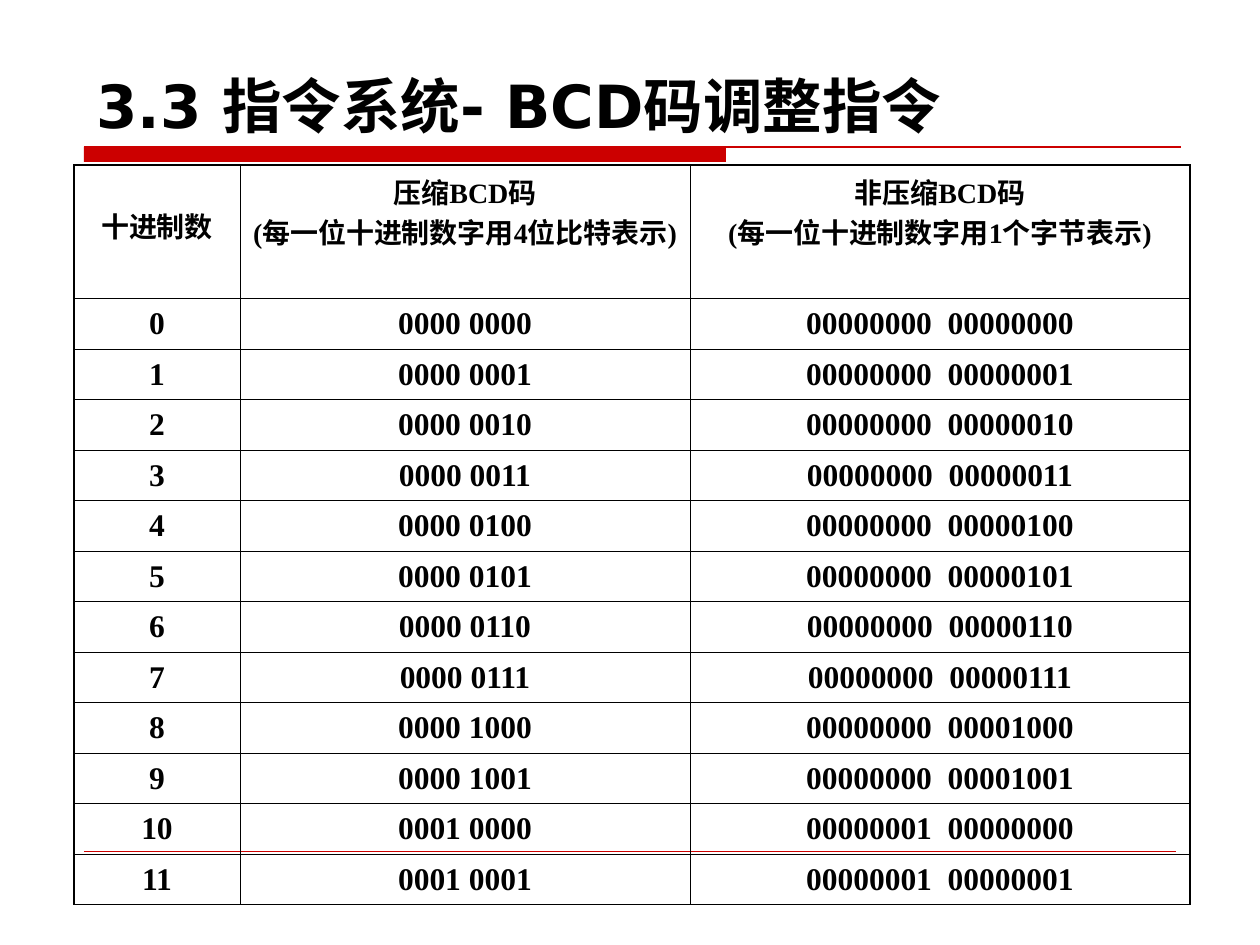
from lxml.etree import SubElement
from pptx import Presentation
from pptx.dml.color import RGBColor
from pptx.enum.shapes import MSO_CONNECTOR, MSO_SHAPE
from pptx.enum.text import MSO_ANCHOR, MSO_AUTO_SIZE, PP_ALIGN
from pptx.oxml import parse_xml
from pptx.oxml.ns import nsdecls, qn
from pptx.util import Pt

RED, BLACK = "CC0000", "000000"
THIN, THICK = 0.45, 1.08
rgb = RGBColor.from_string


def px(n):
    """Turn a length in px (126 to the inch) into EMU."""
    return round(n * 914400 / 126)


def set_border(cell, side, width):
    cell._tc.get_or_add_tcPr().append(parse_xml(
        f'<a:{side} {nsdecls("a")} w="{Pt(width)}"><a:solidFill>'
        f'<a:srgbClr val="{BLACK}"/></a:solidFill></a:{side}>'))


prs = Presentation()
prs.slide_width, prs.slide_height = px(1260), px(945)
slide = prs.slides.add_slide(prs.slide_layouts[5])
shapes = slide.shapes

# Red bar and rules
bar = shapes.add_shape(MSO_SHAPE.RECTANGLE, px(84), px(147), px(642), px(15))
bar.shadow.inherit = False
bar.fill.solid()
bar.fill.fore_color.rgb = rgb(RED)
bar.line.fill.background()

for right, y, width in [(1181, 147, 0.75), (1176, 851, 0.25)]:
    rule = shapes.add_connector(MSO_CONNECTOR.STRAIGHT, px(84), px(y), px(right), px(y))
    rule.line.color.rgb = rgb(RED)
    rule.line.width = Pt(width)
    SubElement(rule._element.spPr, qn("a:effectLst"))

# Title
title = shapes.title
title.left, title.top, title.width, title.height = px(84), px(63), px(1023), px(84)
tf = title.text_frame
tf.text = "3.3 指令系统- BCD码调整指令"
tf.word_wrap = True
tf.auto_size = MSO_AUTO_SIZE.NONE
tf.vertical_anchor = MSO_ANCHOR.BOTTOM
p = tf.paragraphs[0]
p.alignment = PP_ALIGN.LEFT
p.font.name, p.font.size, p.font.bold = "DejaVu Sans", Pt(34), True
p.font.color.rgb = rgb(BLACK)

# Each number as packed and unpacked BCD
rows = [["十进制数",
         "压缩BCD码\n(每一位十进制数字用4位比特表示)",
         "非压缩BCD码\n(每一位十进制数字用1个字节表示)"]]
for n in range(12):
    tens, ones = divmod(n, 10)
    rows.append([str(n), f"{tens:04b} {ones:04b}", f"{tens:08b}  {ones:08b}"])

col_widths = [166, 450, 500]
head_h, body_h = 133, 606
last_row, last_col = len(rows) - 1, len(col_widths) - 1
table = shapes.add_table(len(rows), len(col_widths), px(74), px(165),
                         px(sum(col_widths)), px(head_h + body_h)).table
table.first_row = table.horz_banding = False
for column, width in zip(table.columns, col_widths):
    column.width = px(width)

for i, texts in enumerate(rows):
    table.rows[i].height = px(body_h) // last_row if i else px(head_h)
    for j, text in enumerate(texts):
        cell = table.cell(i, j)
        cell.text = text
        cell.vertical_anchor = MSO_ANCHOR.MIDDLE if i else MSO_ANCHOR.TOP
        for p in cell.text_frame.paragraphs:
            p.alignment = PP_ALIGN.CENTER
            p.font.name, p.font.bold = "Times New Roman", True
            p.font.size = Pt(18 if i else 16)
            p.font.color.rgb = rgb(BLACK)
        for side, outer in [("lnL", j == 0), ("lnR", j == last_col),
                            ("lnT", i == 0), ("lnB", i == last_row)]:
            set_border(cell, side, THICK if outer else THIN)
        cell.fill.background()
table.cell(0, 0).margin_top = px(40)

prs.save("out.pptx")
